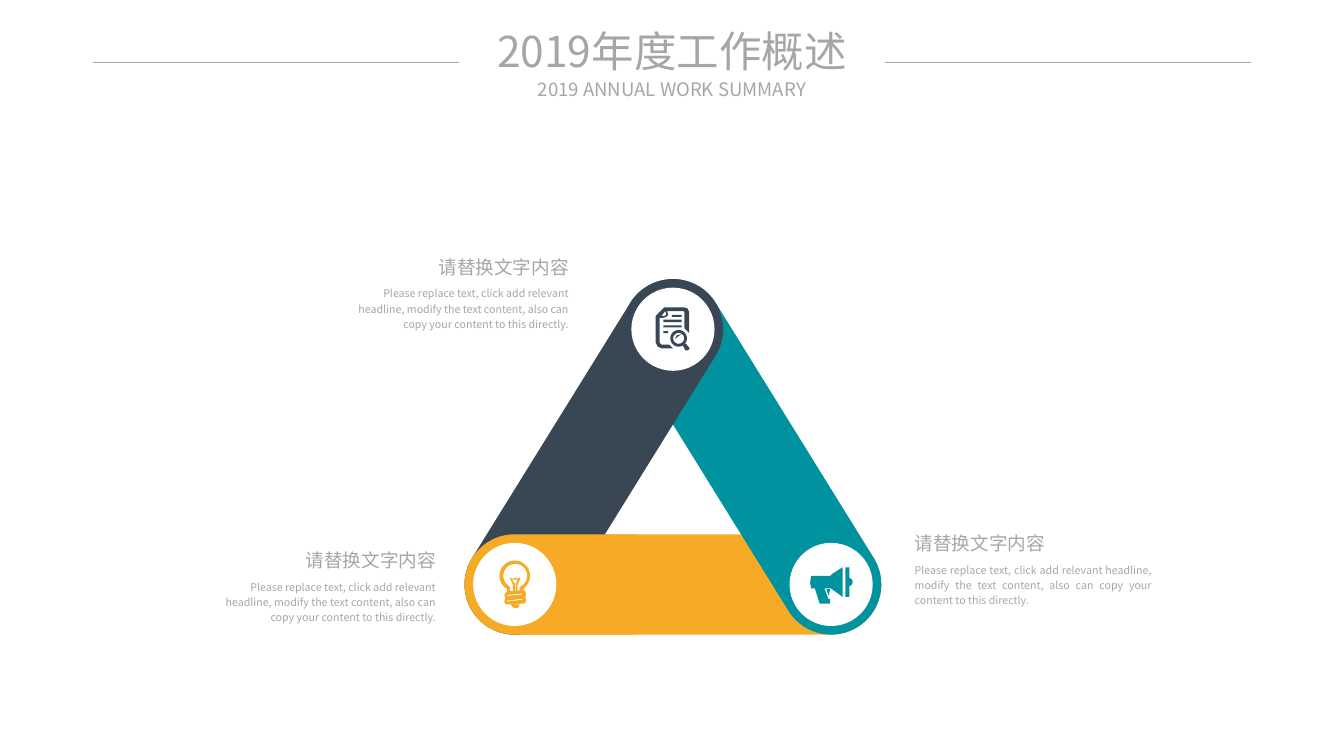
from math import atan2, cos, degrees, hypot, radians, sin

from lxml.etree import SubElement
from pptx import Presentation
from pptx.dml.color import RGBColor
from pptx.enum.shapes import MSO_CONNECTOR, MSO_SHAPE
from pptx.enum.text import MSO_ANCHOR, MSO_AUTO_SIZE, PP_ALIGN
from pptx.oxml.ns import qn
from pptx.util import Inches, Pt

FONT = "Noto Sans CJK SC"
COLORS = {"orange": "F6AA26", "teal": "00939F", "slate": "394754", "white": "FFFFFF", "gray": "A6A6A6"}
HEADING = "请替换文字内容"
BODY = ("Please replace text, click add relevant headline, modify the text content, "
        "also can copy your content to this directly.")
BAND_WIDTH = 1.05
DISC_SIZE = 0.87


def arc(x, y, radius, start=0, end=360, step=10):
    return [(x + radius * cos(radians(angle)), y + radius * sin(radians(angle)))
            for angle in range(start, end + 1, step)]


def bar(x, y, width, height):
    return [(x, y), (x + width, y), (x + width, y + height), (x, y + height)]


DOCUMENT_ICON = [
    [(10, 0), (29, 0), (33, 1), (35, 5), (35, 27), (30, 22), (30, 5), (29, 4), (12, 4), (13, 8), (11, 10),
     (8, 11), (4, 11), (4, 37), (6, 39), (14, 39), (18, 43), (6, 43), (2, 41), (0, 37), (0, 9), (9, 0)],
    [(10, 4), (6, 9), (9, 9), (11, 8), (11, 7)],
    bar(17, 8, 10, 2), bar(8, 13, 19, 2.5), bar(8, 19, 19, 2), bar(8, 25, 5, 2),
    arc(24, 32.5, 8.7), arc(24, 32.5, 5.7),
    [(20, 33), (22, 29.5), (27, 28)],
    [(28.5, 40), (31, 45), (34, 45), (35.5, 43), (32, 38.5), (30.5, 38.2)],
]
BULB_ICON = [
    arc(16, 16, 16, 120, 415) + [(25, 31), (27, 32), (28, 35), (27, 38), (28, 41), (27, 44), (26, 45),
                                 (7, 46), (6, 45), (5, 43), (6, 39), (5, 36), (7, 33), (8, 33)],
    arc(16.5, 16, 12.5, 120, 415) + [(21, 28), (21, 31), (19, 32), (19, 25), (22, 19), (21, 18), (19, 19),
                                     (17, 18), (15, 19), (13, 19), (12, 18), (11, 19), (14, 25),
                                     (14, 32), (11, 32), (11, 28)],
    [(19, 20), (13, 20), (16, 24), (16, 32), (17, 32), (17, 24)],
    [(24, 34.5), (8, 36), (8, 37), (24, 35.5)],
    [(24, 40), (8, 42), (8, 43), (24, 41)],
    [(21, 46), (12, 46), (14, 49), (17, 50), (20, 49)],
]
MEGAPHONE_ICON = [
    [(1, 9), (21, 9), (23, 7), (34, 0), (34, 31), (23, 23), (21, 22), (15, 22), (19, 33), (21, 33),
     (21, 38), (10, 38), (5, 22), (1, 22), (0, 16)],
    [(37, 0), (41, 0), (41, 11), (44, 13), (44.5, 15), (44, 18), (41, 20), (41, 31), (37, 31)],
    [(21, 23), (17, 23), (19, 29), (20, 29), (20, 27)],
]


def paint(shape, color):
    shape.shadow.inherit = False
    shape.fill.solid()
    shape.fill.fore_color.rgb = RGBColor.from_string(COLORS[color])
    shape.line.fill.background()


def add_text(slide, left, top, width, height, text, size, align, spacing=1.0, title=False):
    box = slide.shapes.add_textbox(Inches(left), Inches(top), Inches(width), Inches(height))
    frame = box.text_frame
    frame.word_wrap = True
    frame.auto_size = MSO_AUTO_SIZE.SHAPE_TO_FIT_TEXT
    if title:
        frame.vertical_anchor = MSO_ANCHOR.MIDDLE
        frame.margin_left = frame.margin_right = frame.margin_top = frame.margin_bottom = 0
    paragraph = frame.paragraphs[0]
    paragraph.alignment = align
    paragraph.line_spacing = spacing
    run = paragraph.add_run()
    run.text = text
    run.font.size = Pt(size)
    run.font.name = FONT
    run.font.color.rgb = RGBColor.from_string(COLORS["gray"])
    SubElement(run.font._element, qn("a:ea")).set("typeface", FONT)


def add_rule(slide, left, top, width):
    rule = slide.shapes.add_connector(MSO_CONNECTOR.STRAIGHT, Inches(left), Inches(top),
                                      Inches(left + width), Inches(top))
    rule.line.color.rgb = RGBColor.from_string(COLORS["gray"])
    rule.line.width = Pt(0.5)
    SubElement(rule._element.spPr, qn("a:effectLst"))


def add_header(slide, left, top, width):
    center = left + width / 2
    add_text(slide, center - 2.16, top, 4.32, 0.54, "2019年度工作概述", 32, PP_ALIGN.CENTER, title=True)
    add_text(slide, center - 1.55, top + 0.55, 3.1, 0.24, "2019 ANNUAL WORK SUMMARY", 14,
             PP_ALIGN.CENTER, title=True)
    rule_width = 3.83
    for rule_left in (left, left + width - rule_width):
        add_rule(slide, rule_left, top + 0.39, rule_width)


def add_band(slide, start, end, color):
    run, rise = end[0] - start[0], end[1] - start[1]
    length = hypot(run, rise) + BAND_WIDTH
    left = (start[0] + end[0] - length) / 2
    top = (start[1] + end[1] - BAND_WIDTH) / 2
    band = slide.shapes.add_shape(MSO_SHAPE.ROUNDED_RECTANGLE, Inches(left), Inches(top),
                                  Inches(length), Inches(BAND_WIDTH))
    band.adjustments[0] = 0.5
    band.rotation = degrees(atan2(rise, run)) % 360
    paint(band, color)


def add_disc(slide, center):
    disc = slide.shapes.add_shape(MSO_SHAPE.OVAL, Inches(center[0] - DISC_SIZE / 2),
                                  Inches(center[1] - DISC_SIZE / 2), Inches(DISC_SIZE), Inches(DISC_SIZE))
    paint(disc, "white")


def add_icon(slide, left, top, contours, color):
    builder = None
    for contour in contours:
        points = [(Inches(x / 100), Inches(y / 100)) for x, y in contour]
        if builder is None:
            builder = slide.shapes.build_freeform(*points[0])
        else:
            builder.move_to(*points[0])
        builder.add_line_segments(points[1:], close=True)
    paint(builder.convert_to_shape(Inches(left), Inches(top)), color)


def add_triangle(slide, left, top, width, height):
    radius = BAND_WIDTH / 2
    document = (left + width / 2, top + radius)
    bulb = (left + radius, top + height - radius)
    megaphone = (left + width - radius, top + height - radius)
    add_band(slide, bulb, megaphone, "orange")
    add_band(slide, document, megaphone, "teal")
    add_band(slide, bulb, document, "slate")
    add_band(slide, bulb, (bulb[0] + 1.2, bulb[1]), "orange")
    for center, contours, color, icon_left, icon_top in (
            (document, DOCUMENT_ICON, "slate", -0.18, -0.23),
            (bulb, BULB_ICON, "orange", -0.16, -0.25),
            (megaphone, MEGAPHONE_ICON, "teal", -0.22, -0.18)):
        add_disc(slide, center)
        add_icon(slide, center[0] + icon_left, center[1] + icon_top, contours, color)


def add_caption(slide, left, top, width, heading_align, body_align):
    add_text(slide, left, top, width, 0.36, HEADING, 14, heading_align, 1.2)
    add_text(slide, left, top + 0.35, width, 0.57, BODY, 8, body_align, 1.2)


def main():
    presentation = Presentation()
    presentation.slide_width = Inches(14.06)
    presentation.slide_height = Inches(7.91)
    slide = presentation.slides.add_slide(presentation.slide_layouts[6])
    add_triangle(slide, 4.86, 2.92, 4.36, 3.72)
    add_caption(slide, 9.47, 5.47, 2.68, PP_ALIGN.LEFT, PP_ALIGN.JUSTIFY)
    for left, top in ((3.46, 2.58), (2.07, 5.65)):
        add_caption(slide, left, top, 2.59, PP_ALIGN.RIGHT, PP_ALIGN.RIGHT)
    add_header(slide, 0.97, 0.26, 12.12)
    presentation.save("out.pptx")


if __name__ == "__main__":
    main()
